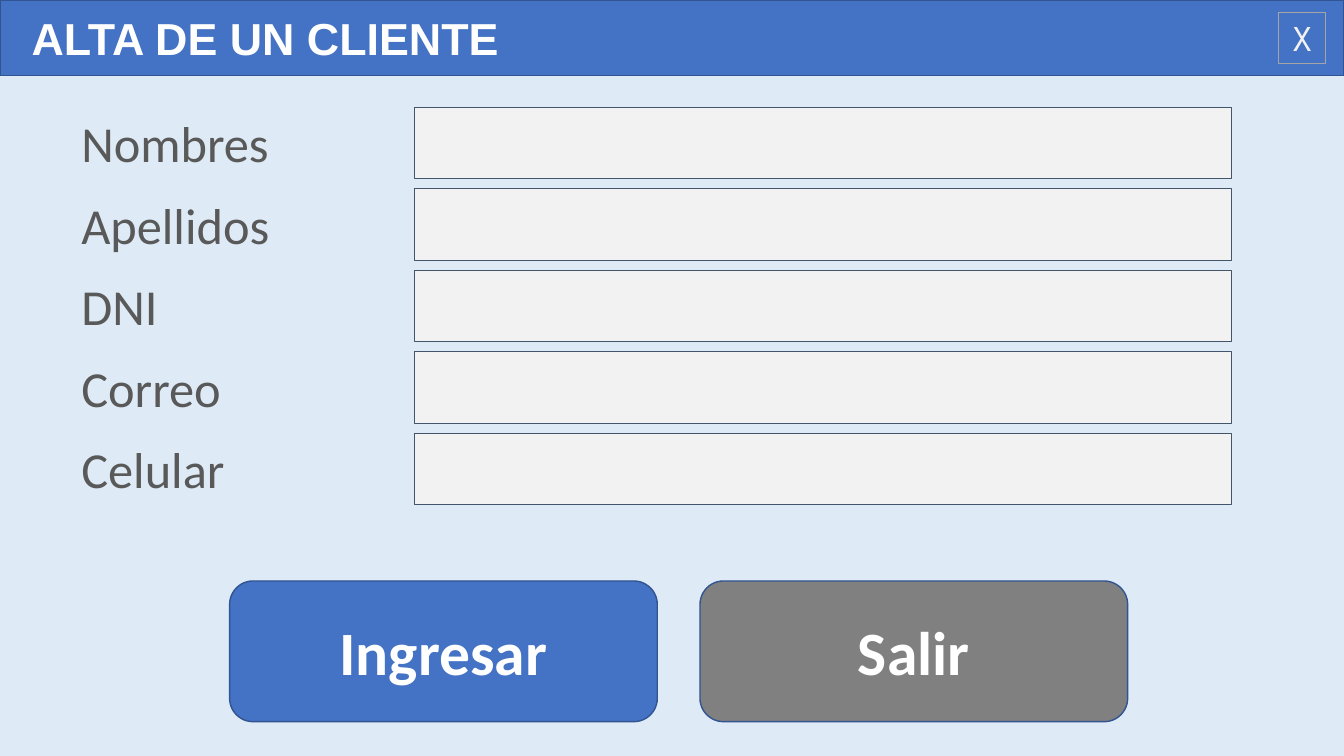
from dataclasses import dataclass

from pptx import Presentation
from pptx.dml.color import RGBColor
from pptx.enum import shapes, text
from pptx.util import Pt


@dataclass(frozen=True)
class Theme:
    background: str = "DEEBF7"
    primary: str = "4472C4"
    primary_edge: str = "325491"
    secondary: str = "808080"
    field: str = "F2F2F2"
    field_edge: str = "44546A"
    label: str = "595959"
    close_edge: str = "A5A5A5"
    white: str = "FFFFFF"
    title_size: int = 32
    label_size: int = 36
    button_size: int = 44
    close_size: int = 24
    heading_font: str = "Arial"
    body_font: str = "Calibri"
    close_font: str = "Noto Sans Mono"


theme = Theme()


def paint(box, fill, edge, width):
    """Set fill and outline; a fill of None leaves the box see-through."""
    if fill:
        box.fill.solid()
        box.fill.fore_color.rgb = RGBColor.from_string(fill)
    else:
        box.fill.background()
    box.line.color.rgb = RGBColor.from_string(edge)
    box.line.width = Pt(width)
    box.shadow.inherit = False


def write(box, words, font, size, color, align, anchor, bold=False):
    frame = box.text_frame
    frame.word_wrap = True
    frame.auto_size = text.MSO_AUTO_SIZE.NONE
    frame.vertical_anchor = anchor
    paragraph = frame.paragraphs[0]
    paragraph.alignment = align
    run = paragraph.add_run()
    run.text = words
    run.font.name = font
    run.font.size = Pt(size)
    run.font.bold = bold
    run.font.color.rgb = RGBColor.from_string(color)


LEFT, CENTER = text.PP_ALIGN.LEFT, text.PP_ALIGN.CENTER
TOP, MIDDLE = text.MSO_ANCHOR.TOP, text.MSO_ANCHOR.MIDDLE
RECTANGLE = shapes.MSO_SHAPE.RECTANGLE
ROUNDED = shapes.MSO_SHAPE.ROUNDED_RECTANGLE

deck = Presentation()
deck.slide_width, deck.slide_height = Pt(960), Pt(540)
form = deck.slides.add_slide(deck.slide_layouts[5])
form.background.fill.solid()
form.background.fill.fore_color.rgb = RGBColor.from_string(theme.background)

# Title bar
heading = form.shapes.title
heading.left, heading.top, heading.width, heading.height = Pt(0), Pt(0), Pt(960), Pt(54)
paint(heading, theme.primary, theme.primary_edge, 1)
write(heading, "ALTA DE UN CLIENTE", theme.heading_font, theme.title_size,
      theme.white, LEFT, MIDDLE, bold=True)
heading.text_frame.margin_left = Pt(22.5)

# Labelled entry fields
first_row, row_pitch, row_height = 76.5, 58.25, 51
for row, caption in enumerate(["Nombres", "Apellidos", "DNI", "Correo", "Celular"]):
    top = Pt(first_row + row * row_pitch)
    label = form.shapes.add_textbox(Pt(51), top, Pt(234), Pt(row_height))
    write(label, caption, theme.body_font, theme.label_size, theme.label, LEFT, TOP)
    field = form.shapes.add_shape(RECTANGLE, Pt(296), top, Pt(584), Pt(row_height))
    paint(field, theme.field, theme.field_edge, 0.75)

# Action buttons
first_button, button_pitch = 164, 336
for column, (action, fill) in enumerate([("Ingresar", theme.primary),
                                         ("Salir", theme.secondary)]):
    button = form.shapes.add_shape(ROUNDED, Pt(first_button + column * button_pitch),
                                   Pt(415), Pt(305.5), Pt(100.5))
    paint(button, fill, theme.primary_edge, 1)
    write(button, action, theme.body_font, theme.button_size, theme.white,
          CENTER, MIDDLE, bold=True)

# Close control
close = form.shapes.add_shape(RECTANGLE, Pt(913.5), Pt(9), Pt(33.5), Pt(36.5))
paint(close, None, theme.close_edge, 0.75)
write(close, "X", theme.close_font, theme.close_size, theme.field, CENTER, TOP)

deck.save("out.pptx")
